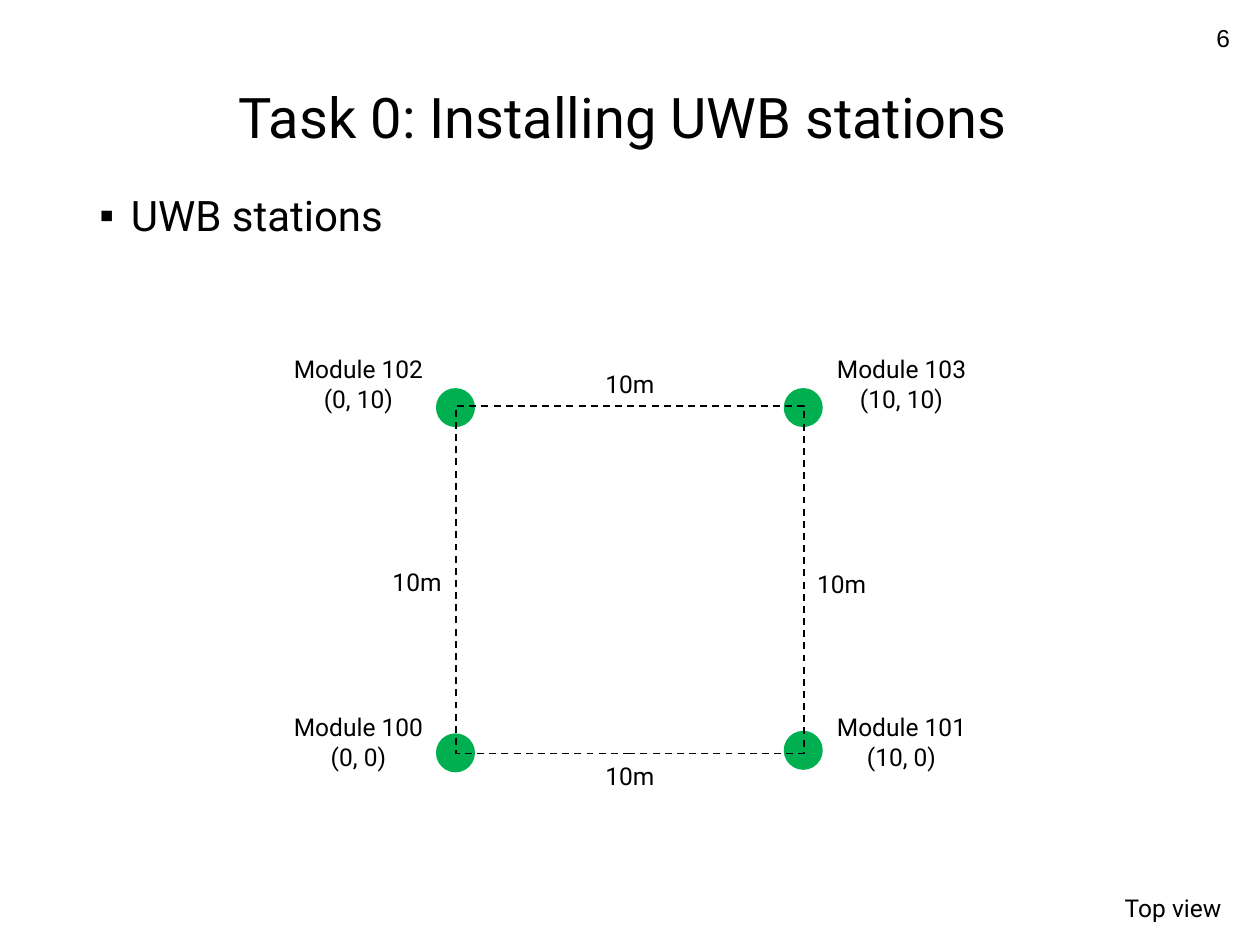
from dataclasses import dataclass

from lxml import etree
from pptx import Presentation
from pptx.dml.color import RGBColor
from pptx.enum.dml import MSO_LINE
from pptx.enum.shapes import MSO_SHAPE
from pptx.enum.text import MSO_ANCHOR, PP_ALIGN
from pptx.oxml.ns import qn
from pptx.util import Inches, Pt

LEFT, CENTER, RIGHT = PP_ALIGN.LEFT, PP_ALIGN.CENTER, PP_ALIGN.RIGHT
TOP, MIDDLE = MSO_ANCHOR.TOP, MSO_ANCHOR.MIDDLE
OVAL, RECT = MSO_SHAPE.OVAL, MSO_SHAPE.RECTANGLE
DASH = MSO_LINE.DASH


@dataclass(frozen=True)
class Theme:
    ink: RGBColor = RGBColor(0x00, 0x00, 0x00)
    station: RGBColor = RGBColor(0x00, 0xB0, 0x50)
    font: str = "Roboto"
    number_font: str = "Arial"
    title: int = 32
    body: int = 24
    label: int = 14


THEME = Theme()

# Station name, coordinates, marker position, label position
STATIONS = [
    ("Module 100", "(0, 0)", (3.46, 5.82), (2.15, 5.69)),
    ("Module 101", "(10, 0)", (6.22, 5.8), (6.46, 5.69)),
    ("Module 102", "(0, 10)", (3.46, 3.08), (2.15, 2.85)),
    ("Module 103", "(10, 10)", (6.22, 3.08), (6.46, 2.85)),
]
DISTANCES = [(6.07, 4.44), (4.39, 2.85), (2.7, 4.42), (4.39, 5.96)]


def inches(*values):
    return [Inches(v) for v in values]


def set_attrs(obj, values):
    for name, value in values.items():
        setattr(obj, name, value)


def add_text(s, box, lines, size=THEME.label, font=THEME.font, align=CENTER,
             anchor=MIDDLE, **para):
    tf = s.shapes.add_textbox(*inches(*box)).text_frame
    set_attrs(tf, {"word_wrap": True, "vertical_anchor": anchor})
    for i, line in enumerate(lines):
        p = tf.add_paragraph() if i else tf.paragraphs[0]
        set_attrs(p, {"alignment": align, **para})
        r = p.add_run()
        r.text = line
        set_attrs(r.font, {"name": font, "size": Pt(size)})
        r.font.color.rgb = THEME.ink
    return tf


def add_bullet(p, char, indent):
    pPr = p._p.get_or_add_pPr()
    pPr.set("marL", str(Inches(indent)))
    pPr.set("indent", str(Inches(-indent)))
    etree.SubElement(pPr, qn("a:buFont")).set("typeface", THEME.number_font)
    etree.SubElement(pPr, qn("a:buChar")).set("char", char)


def add_station(s, x, y):
    sp = s.shapes.add_shape(OVAL, *inches(x, y, 0.31, 0.31))
    sp.shadow.inherit = False
    sp.fill.solid()
    sp.fill.fore_color.rgb = THEME.station
    sp.line.fill.background()


def add_area(s, x, y, side):
    sp = s.shapes.add_shape(RECT, *inches(x, y, side, side))
    sp.shadow.inherit = False
    sp.fill.background()
    sp.line.color.rgb = THEME.ink
    set_attrs(sp.line, {"width": Pt(1), "dash_style": DASH})


def main():
    prs = Presentation()
    set_attrs(prs, {"slide_width": Inches(10), "slide_height": Inches(7.5)})
    s = prs.slides.add_slide(prs.slide_layouts[6])

    # Heading, bullet and page number
    add_text(s, (0.69, 0.62, 8.62, 0.67), ["Task 0: Installing UWB stations "],
             THEME.title, line_spacing=0.9)
    tf = add_text(s, (0.69, 1.5, 8.62, 1.57), ["UWB stations"], THEME.body,
                  align=LEFT, anchor=TOP, line_spacing=0.9, space_before=Pt(10))
    add_bullet(tf.paragraphs[0], "▪", 0.25)
    add_text(s, (7.61, 0.1, 2.25, 0.4), ["6"], font=THEME.number_font, align=RIGHT)
    add_text(s, (8.7, 7.01, 1.22, 0.39), ["Top view"])

    # Stations below the dashed area outline
    for _, _, marker, _ in STATIONS:
        add_station(s, *marker)
    add_area(s, 3.62, 3.22, 2.76)

    # Station names and side lengths
    for name, coords, _, label in STATIONS:
        add_text(s, (*label, 1.39, 0.39), [name, coords])
    for x, y in DISTANCES:
        add_text(s, (x, y, 1.22, 0.39), ["10m"])

    prs.save("out.pptx")


if __name__ == "__main__":
    main()
